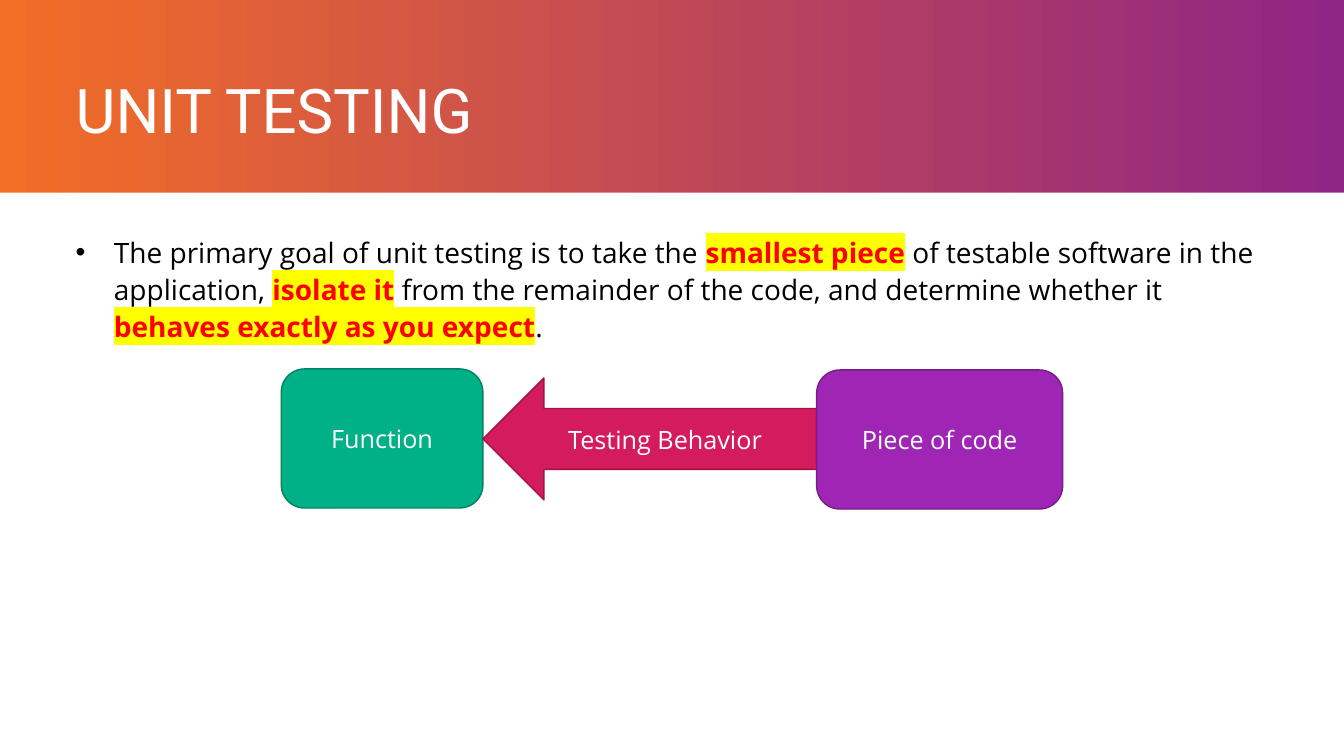
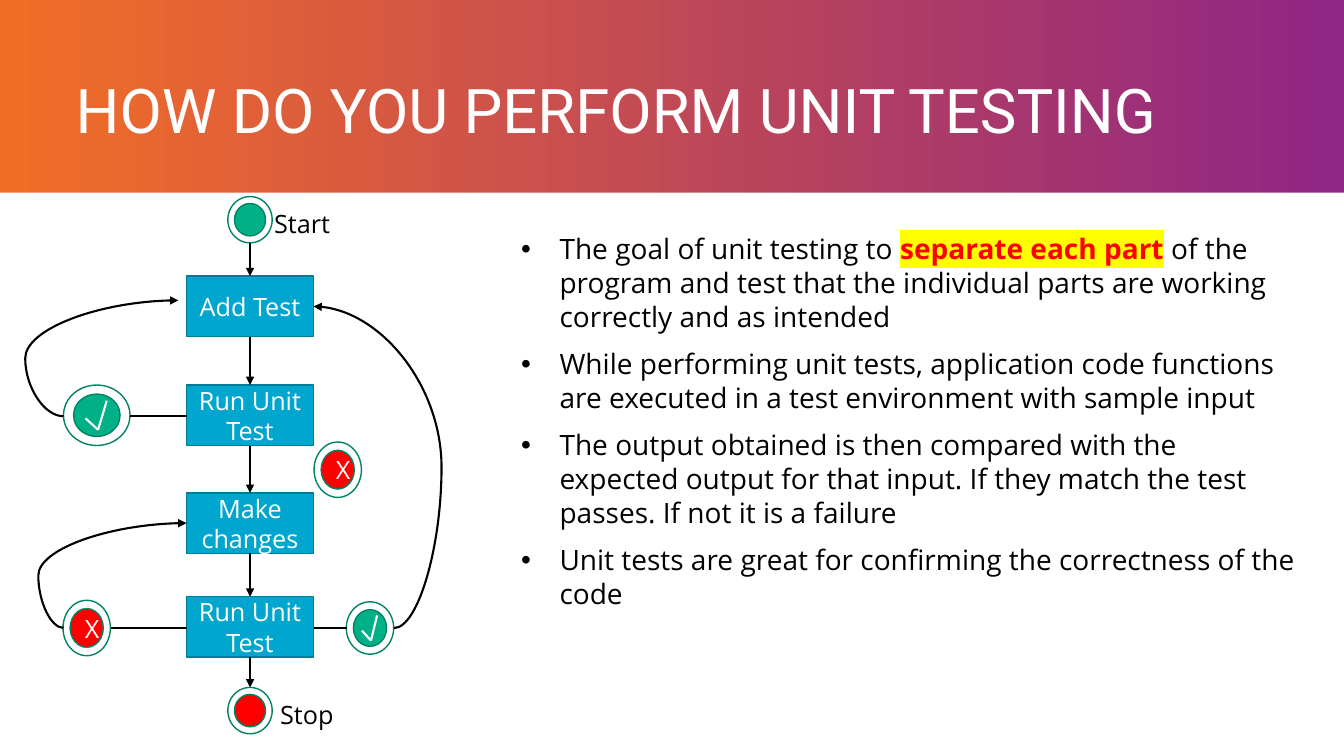
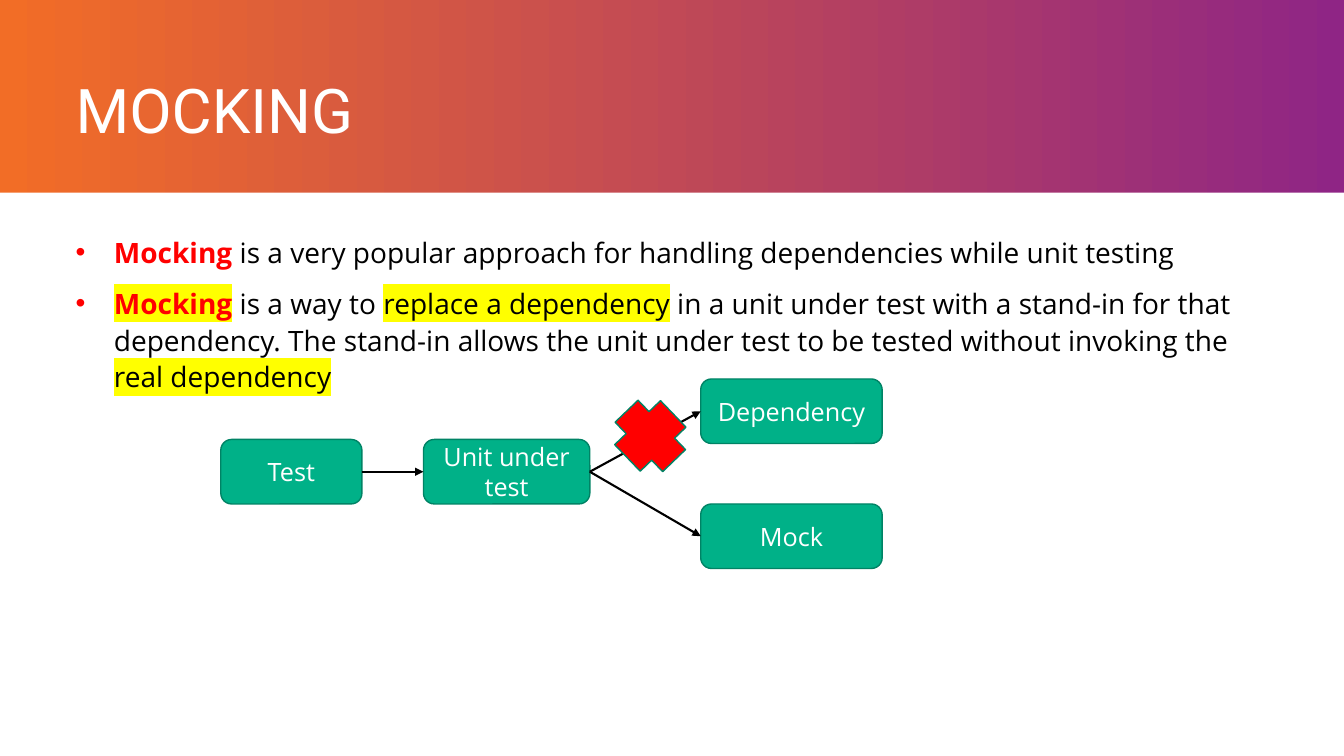
from itertools import pairwise

from lxml import etree
from pptx import Presentation
from pptx.dml.color import RGBColor
from pptx.enum.shapes import MSO_CONNECTOR, MSO_SHAPE
from pptx.enum.text import MSO_ANCHOR, PP_ALIGN
from pptx.oxml.ns import qn
from pptx.util import Inches, Pt

RECT = MSO_SHAPE.RECTANGLE
ROUNDED = MSO_SHAPE.ROUNDED_RECTANGLE
OVAL = MSO_SHAPE.OVAL
LEFT_ARROW = MSO_SHAPE.LEFT_ARROW
CROSS = MSO_SHAPE.CROSS
STRAIGHT = MSO_CONNECTOR.STRAIGHT
CURVE = MSO_CONNECTOR.CURVE
CENTER = PP_ALIGN.CENTER
MIDDLE = MSO_ANCHOR.MIDDLE

WIDTH, HEIGHT, BAND = 13.33, 7.5, 1.91
ORANGE, PURPLE = "F26D26", "8F2585"
WHITE, BLACK, RED, YELLOW = "FFFFFF", "000000", "FF0000", "FFFF00"
GREEN, GREEN_EDGE = "00B188", "008365"
BLUE, BLUE_EDGE = "00A6CE", "007B98"
PINK, PINK_EDGE = "D41B5D", "9D1445"
VIOLET, VIOLET_EDGE = "9F26B5", "761C86"
BODY_FONT, TITLE_FONT = "Open Sans", "Roboto"
MARKED_SPACING = 1.1

PLAIN = {}
KEY = {"color": RED, "bold": True}
KEY_MARKED = {"color": RED, "bold": True, "mark": YELLOW}
MARKED = {"mark": YELLOW}


def rgb(color):
    return RGBColor.from_string(color)


def child(parent, tag, **attributes):
    return etree.SubElement(parent, qn(tag), attributes)


def add_span(para, text, size, color=BLACK, bold=False, mark=None, font=BODY_FONT):
    span = para.add_run()
    span.text = text
    span.font.size = Pt(size)
    span.font.bold = bold
    span.font.color.rgb = rgb(color)
    span.font.name = font
    if mark:
        properties = span.font._element
        highlight = child(properties, "a:highlight")
        child(highlight, "a:srgbClr", val=mark)
        properties.find(qn("a:latin")).addprevious(highlight)


def add_text_box(page, left, top, width, height, wrap=True):
    box = page.shapes.add_textbox(Inches(left), Inches(top), Inches(width), Inches(height))
    box.text_frame.word_wrap = wrap
    return box.text_frame


def add_title(page, text):
    frame = add_text_box(page, 0.75, 0.75, 11.83, 0.75)
    frame.margin_left = 0
    frame.vertical_anchor = MIDDLE
    para = frame.paragraphs[0]
    para.line_spacing = 0.9
    add_span(para, text, 44, WHITE, font=TITLE_FONT)


def add_bullets(page, left, width, height, items, spacing=1.0):
    frame = add_text_box(page, left, 2.25, width, height)
    frame.margin_left = 0
    for index, spans in enumerate(items):
        para = frame.add_paragraph() if index else frame.paragraphs[0]
        para.line_spacing = spacing
        para.space_before = Pt(10)
        properties = para._p.get_or_add_pPr()
        properties.set("marL", str(Inches(0.38)))
        properties.set("indent", str(-Inches(0.38)))
        child(properties, "a:buFont", typeface="Arial")
        child(properties, "a:buChar", char="•")
        for text, style in spans:
            add_span(para, text, 20, **style)


def add_label(page, left, top, width, text):
    frame = add_text_box(page, left, top, width, 0.4, wrap=False)
    add_span(frame.paragraphs[0], text, 18)


def add_shape(page, kind, left, top, width, height, fill=None, edge=None, text=""):
    shape = page.shapes.add_shape(
        kind, Inches(left), Inches(top), Inches(width), Inches(height))
    shape.shadow.inherit = False
    if fill:
        shape.fill.solid()
        shape.fill.fore_color.rgb = rgb(fill)
    else:
        shape.fill.background()
    if edge:
        shape.line.color.rgb = rgb(edge)
        shape.line.width = Pt(1)
    else:
        shape.line.fill.background()
    if text:
        shape.text_frame.vertical_anchor = MIDDLE
        para = shape.text_frame.paragraphs[0]
        para.alignment = CENTER
        add_span(para, text, 18, WHITE)
    return shape


def add_line(page, start, end, color=BLACK, arrow=False, bend=None):
    kind = STRAIGHT if bend is None else CURVE
    line = page.shapes.add_connector(kind, *map(Inches, start + end))
    line.line.color.rgb = rgb(color)
    line.line.width = Pt(1.5)
    properties = line._element.spPr
    if arrow:
        child(line.line._get_or_add_ln(), "a:tailEnd", type="triangle")
    if bend is not None:
        ratio = round((bend - start[0]) / (end[0] - start[0]) * 100000)
        child(properties.find(".//" + qn("a:avLst")), "a:gd",
              name="adj1", fmla=f"val {ratio}")
    child(properties, "a:effectLst")


def add_ring(page, center, width, height, fill, text="", tick=False):
    x, y = center
    for scale, color, label in ((0.7, fill, text), (1, None, "")):
        w, h = width * scale, height * scale
        add_shape(page, OVAL, x - w / 2, y - h / 2, w, h, color, GREEN_EDGE, label)
    if tick:
        corners = [(x + dx * width, y + dy * height)
                   for dx, dy in ((-0.17, 0.05), (0.02, 0.24), (0.15, -0.24))]
        for start, end in pairwise(corners):
            add_line(page, start, end, WHITE)


def add_page(deck, title):
    page = deck.slides.add_slide(deck.slide_layouts[6])
    add_shape(page, RECT, 0, BAND, WIDTH, HEIGHT - BAND, WHITE)
    add_title(page, title)
    return page


def set_background(deck):
    fill = deck.slide_master.background.fill
    fill.gradient()
    fill.gradient_angle = 180
    for stop, color in zip(fill.gradient_stops, (PURPLE, ORANGE)):
        stop.color.rgb = rgb(color)


def build_unit_testing(deck):
    page = add_page(deck, "UNIT TESTING")
    add_bullets(page, 0.75, 11.83, 3.75, [[
        ("The primary goal of unit testing is to take the ", PLAIN),
        ("smallest piece", KEY_MARKED),
        (" of testable software in the application, ", PLAIN),
        ("isolate it", KEY_MARKED),
        (" from the remainder of the code, and determine whether it ", PLAIN),
        ("behaves exactly as you expect", KEY_MARKED),
        (".", PLAIN),
    ]], MARKED_SPACING)
    add_shape(page, ROUNDED, 2.79, 3.66, 2, 1.38, GREEN, GREEN_EDGE, "Function")
    add_shape(page, LEFT_ARROW, 4.79, 3.75, 3.31, 1.21, PINK, PINK_EDGE, "Testing Behavior")
    add_shape(page, ROUNDED, 8.1, 3.67, 2.44, 1.38, VIOLET, VIOLET_EDGE, "Piece of code")


def build_flow(page):
    axis, left, width, height = 2.48, 1.85, 1.26, 0.6
    right = left + width
    steps = [(2.74, "Add Test"), (3.82, "Run Unit Test"),
             (4.89, "Make changes"), (5.92, "Run Unit Test")]
    for top, text in steps:
        add_shape(page, RECT, left, top, width, height, BLUE, BLUE_EDGE, text)

    add_ring(page, (axis, 2.18), 0.44, 0.46, GREEN)
    add_label(page, 2.62, 2.02, 0.76, "Start")
    add_ring(page, (axis, 7.05), 0.44, 0.46, RED)
    add_label(page, 2.68, 6.89, 0.74, "Stop")

    bottoms = [2.41] + [top + height for top, _ in steps]
    tops = [top for top, _ in steps] + [6.82]
    for bottom, top in zip(bottoms, tops):
        add_line(page, (axis, bottom), (axis, top), arrow=True)

    add_ring(page, (0.96, 4.12), 0.66, 0.6, GREEN, tick=True)
    add_ring(page, (3.35, 4.66), 0.47, 0.55, RED, "X")
    add_ring(page, (0.86, 6.23), 0.47, 0.55, RED, "X")
    add_ring(page, (3.67, 6.23), 0.47, 0.52, GREEN, tick=True)

    add_line(page, (left, 4.13), (1.29, 4.13))
    add_line(page, (left, 6.23), (1.1, 6.23))
    add_line(page, (right, 6.23), (3.44, 6.23))
    add_line(page, (0.63, 4.13), (1.77, 2.98), arrow=True, bend=0.25)
    add_line(page, (0.63, 6.23), (left, 5.19), arrow=True, bend=0.38)
    add_line(page, (3.91, 6.23), (right, 3.04), arrow=True, bend=4.38)


def build_performing(deck):
    page = add_page(deck, "HOW DO YOU PERFORM UNIT TESTING")
    add_bullets(page, 5.17, 7.83, 4.32, [
        [("The goal of unit testing to ", PLAIN),
         ("separate each part", KEY_MARKED),
         (" of the program and test that the individual parts are working "
          "correctly and as intended", PLAIN)],
        [("While performing unit tests, application code functions are executed "
          "in a test environment with sample input", PLAIN)],
        [("The output obtained is then compared with the expected output for that "
          "input. If they match the test passes. If not it is a failure", PLAIN)],
        [("Unit tests are great for confirming the correctness of the code", PLAIN)],
    ])
    build_flow(page)


def build_mocking(deck):
    page = add_page(deck, "MOCKING")
    add_bullets(page, 0.75, 11.83, 3.75, [
        [("Mocking", KEY),
         (" is a very popular approach for handling dependencies while unit testing",
          PLAIN)],
        [("Mocking", KEY_MARKED),
         (" is a way to ", PLAIN),
         ("replace a dependency", MARKED),
         (" in a unit under test with a stand-in for that dependency. The stand-in "
          "allows the unit under test to be tested without invoking the ", PLAIN),
         ("real dependency", MARKED)],
    ], MARKED_SPACING)
    height = 0.64
    for left, top, width, text in (
            (2.19, 4.36, 1.4, "Test"), (4.2, 4.36, 1.65, "Unit under test"),
            (6.95, 3.76, 1.8, "Dependency"), (6.95, 5, 1.8, "Mock")):
        add_shape(page, ROUNDED, left, top, width, height, GREEN, GREEN_EDGE, text)
    add_line(page, (3.59, 4.68), (4.2, 4.68), arrow=True)
    for target in (4.08, 5.32):
        add_line(page, (5.85, 4.68), (6.95, target), arrow=True)
    cross = add_shape(page, CROSS, 6.11, 4.01, 0.68, 0.63, RED, GREEN_EDGE)
    cross.rotation = 46.1


def main():
    deck = Presentation()
    deck.slide_width = Inches(WIDTH)
    deck.slide_height = Inches(HEIGHT)
    set_background(deck)
    build_unit_testing(deck)
    build_performing(deck)
    build_mocking(deck)
    deck.save("out.pptx")


if __name__ == "__main__":
    main()
